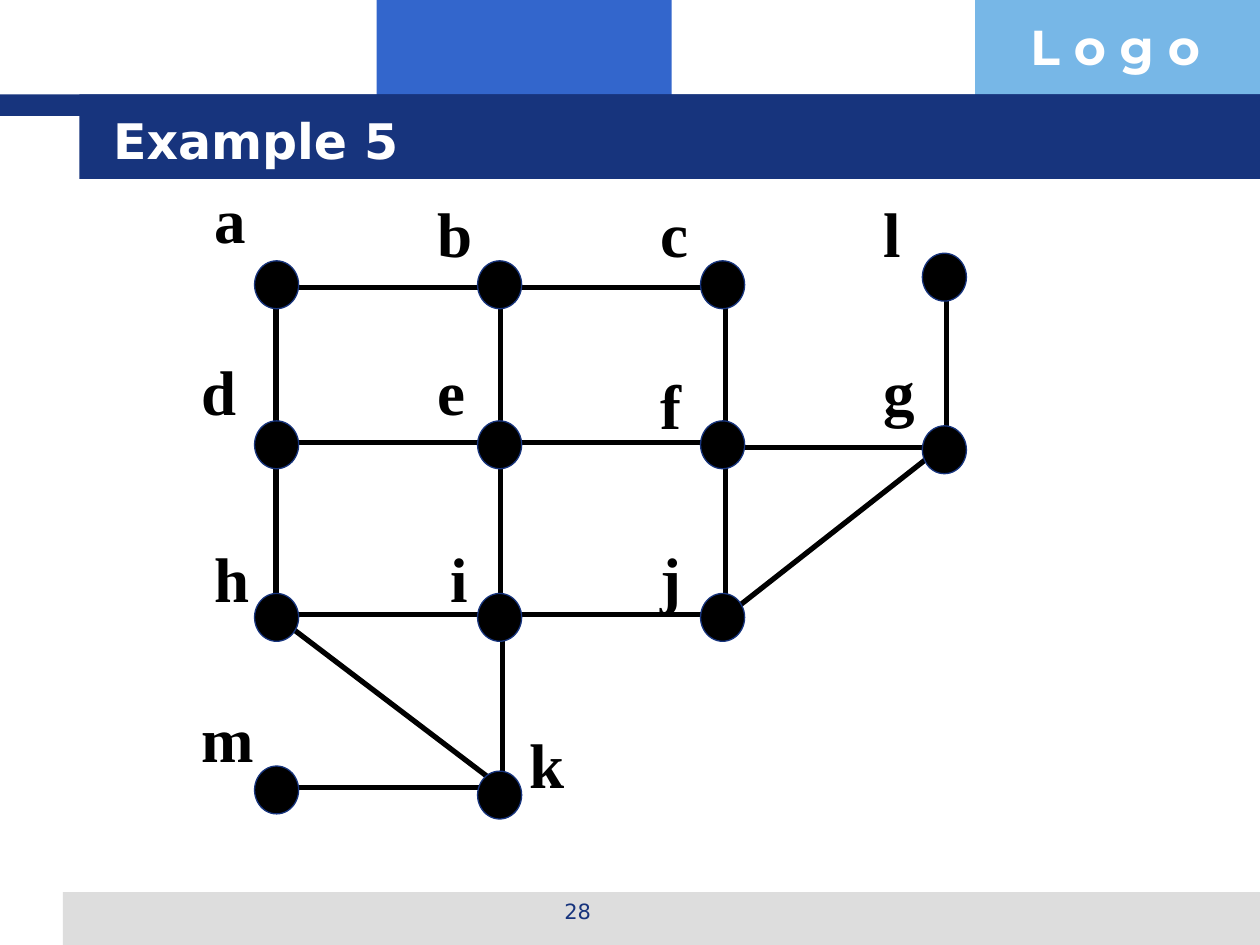
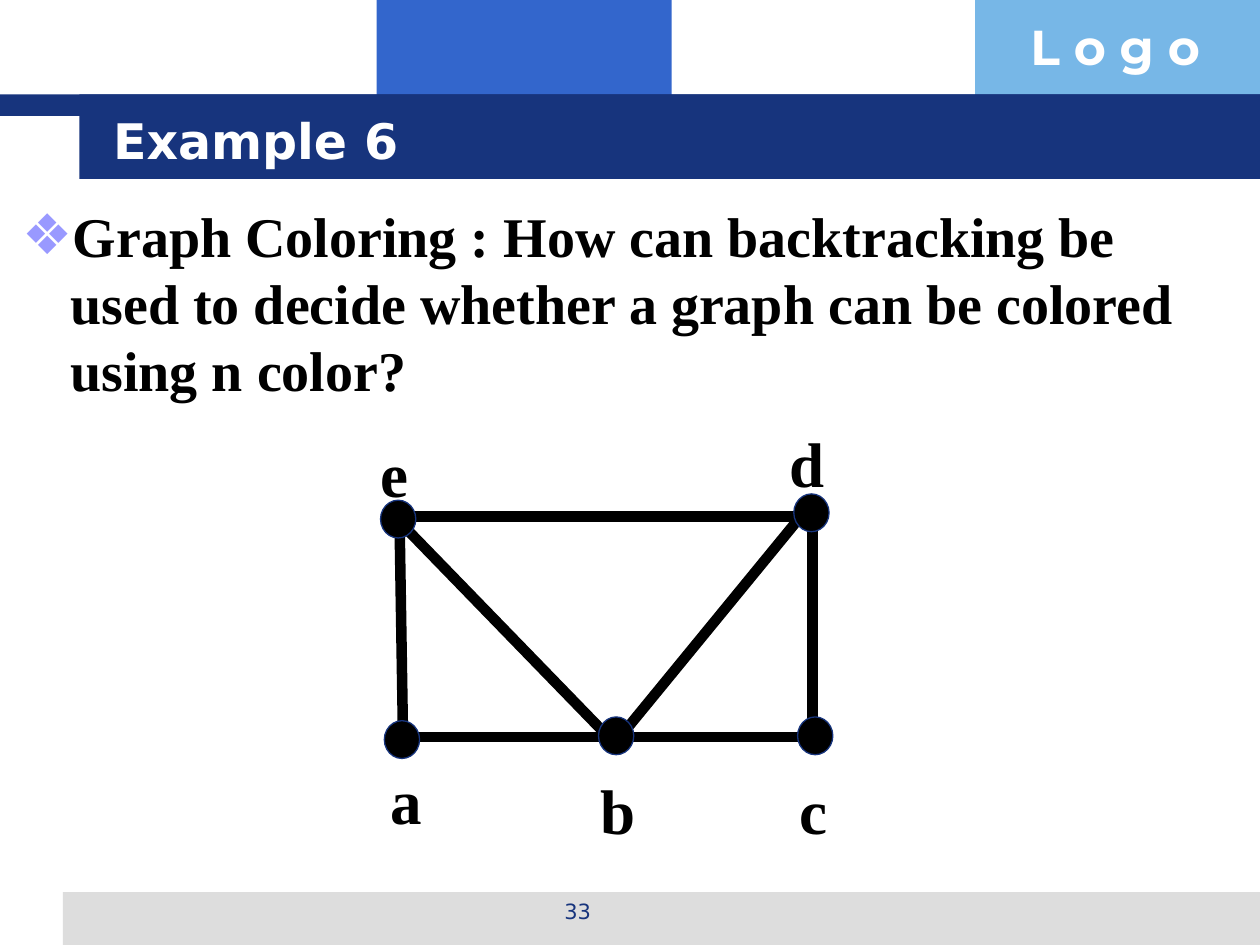
from dataclasses import dataclass

from lxml import etree
from pptx import Presentation
from pptx.dml.color import RGBColor
from pptx.enum.shapes import MSO_CONNECTOR, MSO_SHAPE
from pptx.enum.text import MSO_ANCHOR, PP_ALIGN
from pptx.oxml.ns import qn
from pptx.util import Inches, Pt

RECT, OVAL = MSO_SHAPE.RECTANGLE, MSO_SHAPE.OVAL
STRAIGHT = MSO_CONNECTOR.STRAIGHT
TOP, MIDDLE = MSO_ANCHOR.TOP, MSO_ANCHOR.MIDDLE
LEFT, CENTER = PP_ALIGN.LEFT, PP_ALIGN.CENTER


@dataclass(frozen=True)
class Theme:
    navy: str = "17347D"
    blue: str = "3366CC"
    sky: str = "77B7E7"
    grey: str = "DDDDDD"
    lilac: str = "9999FF"
    white: str = "FFFFFF"
    black: str = "000000"
    ui_font: str = "DejaVu Sans"
    logo_font: str = "Montserrat"
    body_font: str = "Times New Roman"
    title_size: int = 28
    body_size: int = 32
    label_size: int = 36
    number_size: int = 12
    node_line: float = 0.75


T = Theme()

BANDS = [  # left, top, width, height, colour
    (2.99, 0, 2.34, 0.92, T.blue),
    (7.74, 0, 2.26, 0.92, T.sky),
    (0.5, 7.08, 9.5, 0.42, T.grey),
    (0, 0.75, 10, 0.17, T.navy),
    (0.63, 0.75, 9.37, 0.67, T.navy),
]

GRID_GRAPH = {
    "node_size": (0.35, 0.38),
    "label_size": (0.62, 0.84),
    "edge_width": 3,
    # name: node left, node top, label left, label top
    "nodes": {
        "a": (2.02, 2.07, 1.6, 1.33),
        "b": (3.79, 2.07, 3.37, 1.44),
        "c": (5.56, 2.07, 5.14, 1.44),
        "l": (7.32, 2.01, 6.91, 1.44),
        "d": (2.02, 3.34, 1.5, 2.7),
        "e": (3.79, 3.34, 3.37, 2.7),
        "f": (5.56, 3.34, 5.14, 2.81),
        "g": (7.32, 3.38, 6.91, 2.7),
        "h": (2.02, 4.71, 1.6, 4.18),
        "i": (3.79, 4.71, 3.48, 4.18),
        "j": (5.56, 4.71, 5.14, 4.18),
        "m": (2.02, 6.08, 1.5, 5.45),
        "k": (3.79, 6.12, 4.1, 5.66),
    },
    # nodes joined: start x, start y, end x, end y
    "edges": {
        "ab": (2.23, 2.28, 3.89, 2.28),
        "bc": (3.99, 2.28, 5.65, 2.28),
        "de": (2.23, 3.51, 3.89, 3.51),
        "ef": (3.99, 3.51, 5.65, 3.51),
        "fg": (5.76, 3.55, 7.42, 3.55),
        "hi": (2.23, 4.88, 3.89, 4.88),
        "ij": (3.99, 4.88, 5.65, 4.88),
        "mk": (2.23, 6.25, 3.89, 6.25),
        "ad": (2.19, 2.18, 2.19, 3.55),
        "dh": (2.19, 3.55, 2.19, 4.92),
        "be": (3.97, 2.24, 3.97, 3.61),
        "ei": (3.97, 3.61, 3.97, 4.98),
        "ik": (3.99, 4.92, 3.99, 6.29),
        "cf": (5.76, 2.28, 5.76, 3.65),
        "fj": (5.76, 3.65, 5.76, 5.02),
        "lg": (7.51, 2.12, 7.51, 3.59),
        "hk": (2.23, 4.92, 3.89, 6.18),
        "gj": (7.42, 3.59, 5.8, 4.86),
    },
}

COLORING_GRAPH = {
    "node_size": (0.28, 0.3),
    "label_size": (0.5, 0.67),
    "edge_width": 6,
    "nodes": {
        "a": (3.05, 5.72, 3, 5.94),
        "b": (4.75, 5.69, 4.67, 6.02),
        "c": (6.33, 5.69, 6.25, 6.02),
        "d": (6.3, 3.92, 6.17, 3.27),
        "e": (3.02, 3.97, 2.92, 3.35),
    },
    "edges": {
        "ab": (3.25, 5.85, 4.83, 5.85),
        "bc": (4.92, 5.85, 6.5, 5.85),
        "ea": (3.17, 4.05, 3.2, 5.94),
        "dc": (6.45, 3.94, 6.45, 5.77),
        "ed": (3.17, 4.1, 6.42, 4.1),
        "bd": (4.92, 5.85, 6.42, 4.02),
        "be": (4.83, 5.85, 3.15, 4.12),
    },
}

SLIDES = [
    {"title": "Example 5", "number": 28, "graph": GRID_GRAPH},
    {"title": "Example 6", "number": 33, "graph": COLORING_GRAPH,
     "question": "Graph Coloring : How can backtracking be used to decide "
                 "whether a graph can be colored using n color?"},
]


def rgb(color):
    return RGBColor.from_string(color)


def add_solid(s, kind, box, fill, line=None):
    sp = s.shapes.add_shape(kind, *map(Inches, box))
    sp.shadow.inherit = False
    sp.fill.solid()
    sp.fill.fore_color.rgb = rgb(fill)
    if line:
        sp.line.color.rgb = rgb(line)
        sp.line.width = Pt(T.node_line)
    else:
        sp.line.fill.background()


def add_text(s, box, text, font, size, color, bold=True, align=LEFT, anchor=TOP):
    sp = s.shapes.add_textbox(*map(Inches, box))
    tf = sp.text_frame
    tf.word_wrap = True
    tf.vertical_anchor = anchor
    tf.text = text
    p = tf.paragraphs[0]
    p.alignment = align
    r = p.runs[0]
    r.font.name = font
    r.font.size = Pt(size)
    r.font.bold = bold
    r.font.color.rgb = rgb(color)
    return tf


def add_bullet(p, char, color, font, indent):
    pPr = p._p.get_or_add_pPr()
    pPr.set("marL", str(Inches(indent)))
    pPr.set("indent", str(-Inches(indent)))
    bu_color = etree.SubElement(pPr, qn("a:buClr"))
    etree.SubElement(bu_color, qn("a:srgbClr"), val=color)
    etree.SubElement(pPr, qn("a:buFont"), typeface=font)
    etree.SubElement(pPr, qn("a:buChar"), char=char)


def add_frame(s, title, number):
    """Bands, logo word, slide number and title shared by every slide."""
    for *box, color in BANDS:
        add_solid(s, RECT, box, color)
    add_text(s, (8.08, 0.08, 1.92, 0.57), "L o g o", T.logo_font, T.title_size, T.white)
    add_text(s, (3.42, 7.08, 2.33, 0.35), str(number), T.ui_font, T.number_size,
             T.navy, bold=False, align=CENTER)
    add_text(s, (0.8, 0.8, 8.53, 0.62), title, T.ui_font, T.title_size, T.white,
             anchor=MIDDLE)


def add_question(s, question):
    tf = add_text(s, (0.08, 1.5, 9.83, 1.83), question, T.body_font, T.body_size, T.black)
    tf.margin_top = Inches(0.1)
    add_bullet(tf.paragraphs[0], "❖", T.lilac, T.ui_font, 0.38)


def add_edge(s, ends, width):
    line = s.shapes.add_connector(STRAIGHT, *map(Inches, ends))
    line.line.color.rgb = rgb(T.black)
    line.line.width = Pt(width)
    etree.SubElement(line._element.spPr, qn("a:effectLst"))


def add_graph(s, graph):
    for ends in graph["edges"].values():
        add_edge(s, ends, graph["edge_width"])
    for name, (x, y, label_x, label_y) in graph["nodes"].items():
        add_solid(s, OVAL, (x, y, *graph["node_size"]), T.black, T.navy)
        tf = add_text(s, (label_x, label_y, *graph["label_size"]), name,
                      T.body_font, T.label_size, T.black)
        tf.margin_top = Inches(0.1)
        tf.margin_right = 0


def main():
    prs = Presentation()
    prs.slide_width, prs.slide_height = Inches(10), Inches(7.5)
    for content in SLIDES:
        s = prs.slides.add_slide(prs.slide_layouts[6])
        add_frame(s, content["title"], content["number"])
        if "question" in content:
            add_question(s, content["question"])
        add_graph(s, content["graph"])
    prs.save("out.pptx")


if __name__ == "__main__":
    main()
